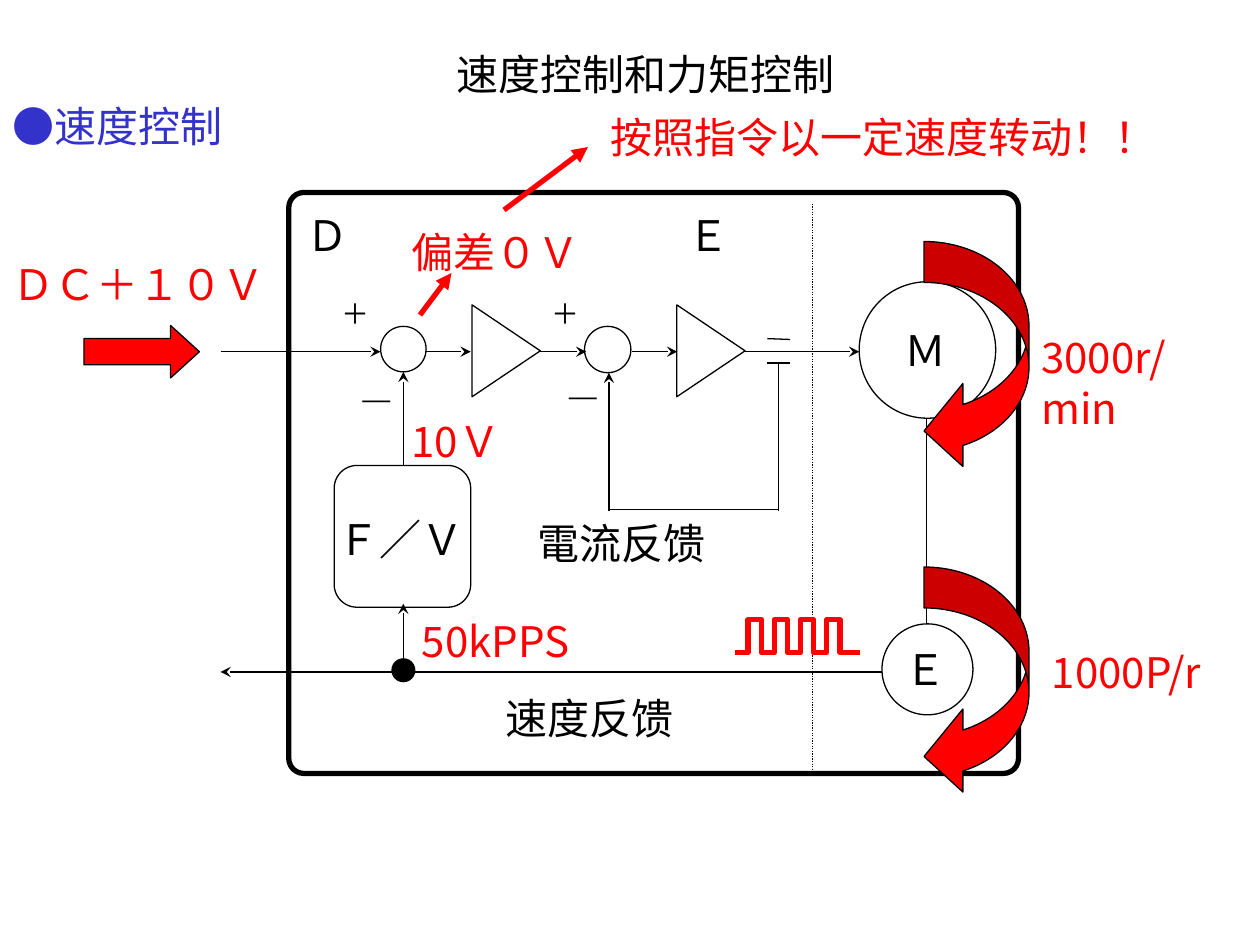
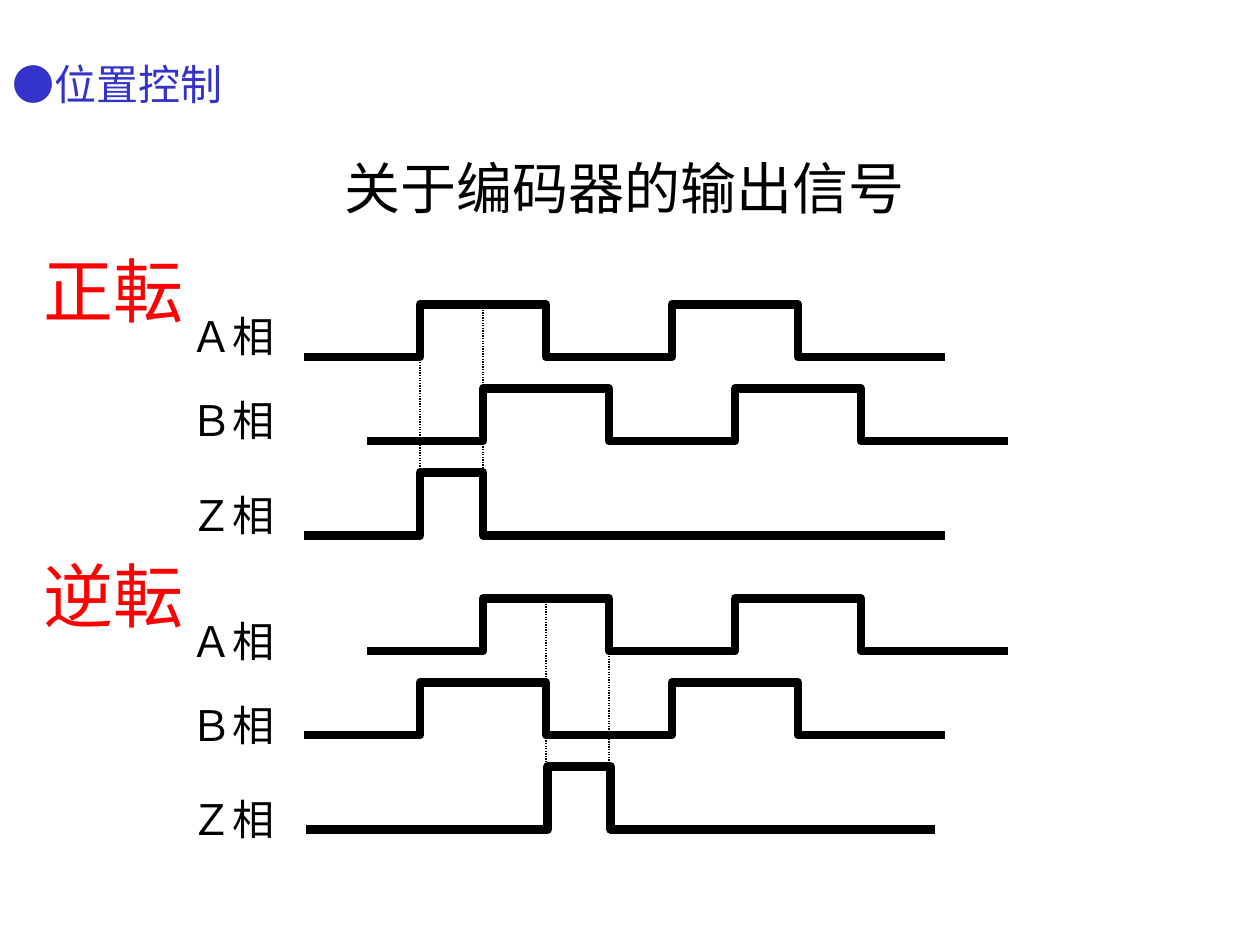
"""Build two slides on servo speed control and encoder output signals."""
from dataclasses import dataclass
from typing import Optional, Sequence

from lxml.etree import SubElement
from pptx import Presentation
from pptx.dml.color import RGBColor
from pptx.enum.dml import MSO_LINE
from pptx.enum.shapes import MSO_CONNECTOR, MSO_SHAPE
from pptx.enum.text import MSO_ANCHOR, MSO_AUTO_SIZE, PP_ALIGN
from pptx.oxml.ns import qn
from pptx.util import Pt

BLACK = RGBColor(0x00, 0x00, 0x00)
WHITE = RGBColor(0xFF, 0xFF, 0xFF)
RED = RGBColor(0xFF, 0x00, 0x00)
BLUE = RGBColor(0x33, 0x33, 0xCC)
SANS = "Noto Sans CJK JP"
SERIF = "TeX Gyre Schola"
THIN, THICK, WAVE = 0.75, 3, 5


@dataclass
class Label:
    """A single-paragraph text with its box in points."""
    text: str
    x: float
    y: float
    w: float
    h: float = 36
    size: float = 24
    color: RGBColor = BLACK
    font: str = SANS


@dataclass
class Block:
    """A preset shape with its box in points."""
    kind: MSO_SHAPE
    x: float
    y: float
    w: float
    h: float
    fill: Optional[RGBColor] = WHITE
    width: float = THIN
    adj: Sequence[float] = ()
    rotation: float = 0


@dataclass
class Wire:
    """A straight line, with an optional arrowhead at its end."""
    x1: float
    y1: float
    x2: float
    y2: float
    head: str = ""
    color: RGBColor = BLACK
    width: float = THIN
    dotted: bool = False


@dataclass
class Pulse:
    """A square wave that starts low and toggles at each edge."""
    start: float
    edges: Sequence[float]
    end: float
    low: float
    high: float
    color: RGBColor = BLACK
    width: float = WAVE


def write_text(sp, label: Label, align: PP_ALIGN = PP_ALIGN.LEFT) -> None:
    """Place a text shape and fill it with the label's run."""
    sp.left, sp.top = Pt(label.x), Pt(label.y)
    sp.width, sp.height = Pt(label.w), Pt(label.h)
    tf = sp.text_frame
    tf.word_wrap = True
    tf.auto_size = MSO_AUTO_SIZE.NONE
    tf.vertical_anchor = MSO_ANCHOR.TOP
    tf.margin_left = tf.margin_right = Pt(7.2)
    tf.margin_top = tf.margin_bottom = Pt(3.6)
    p = tf.paragraphs[0]
    p.alignment = align
    p.space_before = Pt(0)
    r = p.add_run()
    r.text = label.text
    r.font.size = Pt(label.size)
    r.font.color.rgb = label.color
    r.font.name = label.font
    SubElement(r.font._element, qn("a:ea")).set("typeface", SANS)


def add_label(s, label: Label) -> None:
    """Add a text box."""
    write_text(s.shapes.add_textbox(0, 0, 0, 0), label)


def add_block(s, block: Block) -> None:
    """Add a preset shape with a black outline."""
    sp = s.shapes.add_shape(block.kind, Pt(block.x), Pt(block.y), Pt(block.w), Pt(block.h))
    sp.shadow.inherit = False
    sp.rotation = block.rotation
    for i, value in enumerate(block.adj):
        sp.adjustments[i] = value
    if block.fill is None:
        sp.fill.background()
    else:
        sp.fill.solid()
        sp.fill.fore_color.rgb = block.fill
    sp.line.color.rgb = BLACK
    sp.line.width = Pt(block.width)


def add_wire(s, wire: Wire) -> None:
    """Add a connector."""
    sp = s.shapes.add_connector(MSO_CONNECTOR.STRAIGHT, Pt(wire.x1), Pt(wire.y1),
                                Pt(wire.x2), Pt(wire.y2))
    sp.line.color.rgb = wire.color
    sp.line.width = Pt(wire.width)
    if wire.dotted:
        sp.line.dash_style = MSO_LINE.ROUND_DOT
    if wire.head:
        SubElement(sp.line._get_or_add_ln(), qn("a:tailEnd")).set("type", wire.head)
    SubElement(sp._element.spPr, qn("a:effectLst"))


def add_pulse(s, pulse: Pulse) -> None:
    """Add a square wave as an open outline."""
    points, level, other = [], pulse.low, pulse.high
    for x in pulse.edges:
        points += [(x, level), (x, other)]
        level, other = other, level
    points.append((pulse.end, level))
    builder = s.shapes.build_freeform(Pt(pulse.start), Pt(pulse.low))
    builder.add_line_segments([(Pt(x), Pt(y)) for x, y in points], close=False)
    sp = builder.convert_to_shape()
    sp.shadow.inherit = False
    sp.fill.background()
    sp.line.color.rgb = pulse.color
    sp.line.width = Pt(pulse.width)


def add_slide(prs, title: Label, section: Label):
    """Add a title-only slide with its title and blue section mark."""
    s = prs.slides.add_slide(prs.slide_layouts[5])
    write_text(s.shapes.title, title, PP_ALIGN.CENTER)
    add_label(s, section)
    return s


def build_speed_control(prs) -> None:
    """Draw the block diagram of the speed loop."""
    s = add_slide(prs, Label("速度控制和力矩控制", 192, 24, 354),
                  Label("●速度控制", 0, 54, 186, color=BLUE))
    oval, triangle = MSO_SHAPE.OVAL, MSO_SHAPE.ISOSCELES_TRIANGLE
    rounded = MSO_SHAPE.ROUNDED_RECTANGLE
    axis, feedback = 201, 384
    add_wire(s, Wire(464.5, 116.5, 464.5, 442, dotted=True))
    for block in (
        Block(rounded, 165, 110, 417, 332, None, THICK, (0.026,)),
        Block(triangle, 263, 181, 52.5, 39, rotation=90),
        Block(triangle, 380, 181, 52.5, 39, rotation=90),
        Block(oval, 217.5, 186.5, 26, 26),
        Block(oval, 334, 186.5, 26.5, 26.5),
        Block(oval, 491, 161, 78, 78),
        Block(oval, 504, 356.5, 52, 52),
        Block(rounded, 191, 266, 78, 81, adj=(0.167,)),
    ):
        add_block(s, block)

    for x1, x2 in ((126, 217.5), (243, 269), (308, 335), (361, 387), (425.5, 491)):
        add_wire(s, Wire(x1, axis, x2, axis, "stealth"))
    for wire in (
        Wire(504, feedback, 126, feedback, "stealth"),
        Wire(230.5, feedback, 230.5, 345, "stealth"),
        Wire(230.5, 266, 230.5, 212.5, "stealth"),
        Wire(348, 292, 348, 213, "stealth"),
        Wire(348, 291, 445, 291),
        Wire(445, 208, 445, 292),
        Wire(438.5, 193.5, 451.5, 194),
        Wire(438.5, 207.5, 451.5, 207.5),
        Wire(529.5, 239, 529.5, 356.5),
        Wire(240, 180, 258, 156, "triangle", RED, THICK),
        Wire(288, 120, 336, 84, "triangle", RED, THICK),
    ):
        add_wire(s, wire)
    add_block(s, Block(oval, 224, 376.5, 13, 13, BLACK))

    for text, x, y, w in (("Ｆ／Ｖ", 186, 290, 104), ("Ｍ", 510, 182, 65),
                          ("Ｅ", 510, 364, 52), ("電流反馈", 300, 292, 182),
                          ("速度反馈", 282, 392, 183)):
        add_label(s, Label(text, x, y, w, 52, font=SERIF))
    for text, x, y in (("＋", 188, 166), ("＋", 308, 166),
                       ("―", 200, 214), ("―", 318, 212)):
        add_label(s, Label(text, x, y, 52, 52, 16, font=SERIF))
    for text, x in (("Ｄ", 168), ("Ｅ", 386)):
        add_label(s, Label(text, x, 116, 52))

    add_block(s, Block(MSO_SHAPE.RIGHT_ARROW, 48, 186, 66, 30, RED, adj=(0.5, 0.55)))
    for y in (138, 324):
        add_block(s, Block(MSO_SHAPE.CURVED_LEFT_ARROW, 528, y, 60, 132, RED,
                           adj=(0.39, 0.79, 0.37)))
    add_pulse(s, Pulse(420, [427.5 + 7.5 * i for i in range(8)], 491.5,
                       373, 354, RED, THICK))
    for text, x, y, w in (
        ("ＤＣ＋１０Ｖ", 0, 144, 186), ("3000r/min", 588, 186, 126),
        ("1000P/r", 594, 366, 108), ("50kPPS", 234, 348, 108),
        ("10Ｖ", 228, 234, 84), ("偏差０Ｖ", 228, 126, 114),
        ("按照指令以一定速度转动！！", 342, 60, 366),
    ):
        add_label(s, Label(text, x, y, w, color=RED))


def build_encoder_signals(prs) -> None:
    """Draw the encoder phases for both directions of rotation."""
    s = add_slide(prs, Label("关于编码器的输出信号", 90, 84, 534, 46, 32),
                  Label("●位置控制", 0, 30, 166, color=BLUE))
    step, height = 36, 30
    edges = [240 + 2 * step * i for i in range(4)]
    for text, y, label_top in (("正転", 138, 174), ("逆転", 312, 348)):
        add_label(s, Label(text, 18, y, 126, 55, 40, RED))
        for phase, dy in (("Ａ相", 0), ("Ｂ相", 48), ("Ｚ相", 102)):
            add_label(s, Label(phase, 102, label_top + dy, 78))

    for x, y1, y2 in ((240, 204, 270), (276, 174, 270),
                      (312, 342, 438), (348, 372, 438)):
        add_wire(s, Wire(x, y1, x, y2, dotted=True))
    for high, shift in ((174, 0), (222, step), (342, step), (390, 0)):
        add_pulse(s, Pulse(174 + shift, [x + shift for x in edges], 540 + shift,
                           high + height, high))
    add_pulse(s, Pulse(174, (240, 276), 540, 306, 270))
    add_pulse(s, Pulse(175, (313, 349), 534, 474, 438))


def main() -> None:
    """Build and save the presentation."""
    prs = Presentation()
    prs.slide_width, prs.slide_height = Pt(720), Pt(540)
    build_speed_control(prs)
    build_encoder_signals(prs)
    prs.save("out.pptx")


if __name__ == "__main__":
    main()
